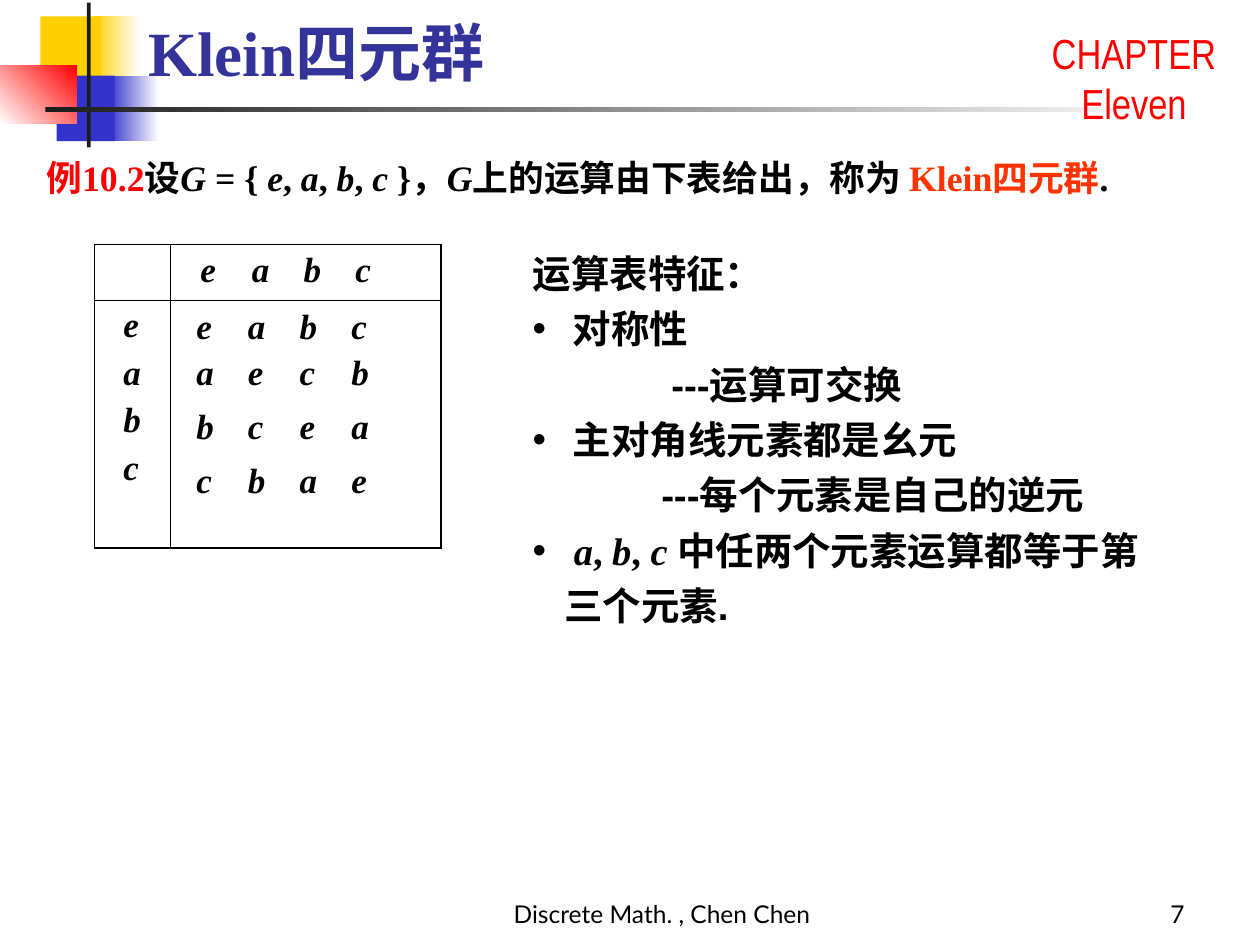
"""Build the slide on the Klein four-group and its operation table."""
from dataclasses import dataclass
from typing import Optional, Sequence

import pptx
import pptx.dml.color
import pptx.enum.shapes
import pptx.enum.text
import pptx.oxml.ns
import pptx.util
from lxml import etree

Inches = pptx.util.Inches
Pt = pptx.util.Pt
RGBColor = pptx.dml.color.RGBColor
Align = pptx.enum.text.PP_ALIGN
Anchor = pptx.enum.text.MSO_ANCHOR
qn = pptx.oxml.ns.qn

BLACK = RGBColor(0x00, 0x00, 0x00)
WHITE = RGBColor(0xFF, 0xFF, 0xFF)
CHARCOAL = RGBColor(0x1C, 0x1C, 0x1C)
YELLOW = RGBColor(0xFF, 0xCF, 0x01)
BLUE = RGBColor(0x33, 0x33, 0xCC)
NAVY = RGBColor(0x33, 0x33, 0x99)
RED = RGBColor(0xFF, 0x00, 0x00)
ORANGE = RGBColor(0xFF, 0x33, 0x00)

SERIF = "Times New Roman"
SANS = "Arial"
SYMBOL_GAP = 0.41
OUTER, INNER = 1.08, 0.45


@dataclass(frozen=True)
class Block:
    left: float
    top: float
    width: float
    height: float
    start: RGBColor
    end: Optional[RGBColor] = None
    angle: float = 0


@dataclass(frozen=True)
class Words:
    text: str
    size: float
    font: str = SERIF
    color: RGBColor = BLACK
    bold: bool = True
    italic: bool = False


@dataclass(frozen=True)
class Feature:
    words: Sequence[Words]
    indent: float = 0
    bullet: bool = False


DECORATION = (
    Block(0.74, 0.13, 0.36, 0.52, YELLOW, WHITE),
    Block(0.86, 0.6, 0.4, 0.52, BLUE, WHITE),
    Block(0.32, 0.13, 0.48, 0.52, YELLOW),
    Block(0.45, 0.6, 0.46, 0.52, BLUE),
    Block(0, 0.52, 0.61, 0.46, WHITE, RED, 45),
    Block(0.69, 0.02, 0.03, 1.15, CHARCOAL),
    Block(0.36, 0.85, 9, 0.04, CHARCOAL, WHITE),
)


def draw_block(slide, block: Block) -> None:
    shape = slide.shapes.add_shape(
        pptx.enum.shapes.MSO_SHAPE.RECTANGLE, Inches(block.left), Inches(block.top),
        Inches(block.width), Inches(block.height))
    shape.shadow.inherit = False
    shape.line.fill.background()
    if block.end is None:
        shape.fill.solid()
        shape.fill.fore_color.rgb = block.start
        return
    shape.fill.gradient()
    shape.fill.gradient_angle = block.angle
    for stop, color in zip(shape.fill.gradient_stops, (block.start, block.end)):
        stop.color.rgb = color


def write(paragraph, words: Sequence[Words]) -> None:
    for part in words:
        run = paragraph.add_run()
        run.text = part.text
        run.font.size = Pt(part.size)
        run.font.name = part.font
        run.font.color.rgb = part.color
        run.font.bold = part.bold
        run.font.italic = part.italic


def add_text(slide, left: float, top: float, width: float, height: float,
             words: Sequence[Words] = (), align=Align.LEFT, anchor=Anchor.TOP):
    frame = slide.shapes.add_textbox(
        Inches(left), Inches(top), Inches(width), Inches(height)).text_frame
    frame.word_wrap = True
    frame.vertical_anchor = anchor
    frame.paragraphs[0].alignment = align
    write(frame.paragraphs[0], words)
    return frame


def symbols(pattern: str, size: float, first_italic: bool = True) -> list[Words]:
    """Split on bars into words that alternate between italic and upright."""
    return [Words(text, size, italic=(index % 2 == 0) == first_italic)
            for index, text in enumerate(pattern.split("|"))]


def write_symbol_row(paragraph, letters: str) -> None:
    tabs = etree.SubElement(paragraph._p.get_or_add_pPr(), qn("a:tabLst"))
    for step in range(1, len(letters)):
        etree.SubElement(tabs, qn("a:tab"), pos=str(Inches(SYMBOL_GAP * step)), algn="l")
    write(paragraph, [Words("\t".join(letters), 20, italic=True)])


def set_borders(cell, row: int, column: int) -> None:
    properties = cell._tc.get_or_add_tcPr()
    widths = {"a:lnL": INNER if column else OUTER, "a:lnR": OUTER if column else INNER,
              "a:lnT": INNER if row else OUTER, "a:lnB": OUTER if row else INNER}
    for tag, width in widths.items():
        line = etree.SubElement(properties, qn(tag), w=str(Pt(width)))
        fill = etree.SubElement(line, qn("a:solidFill"))
        etree.SubElement(fill, qn("a:srgbClr"), val=str(BLACK))


def draw_operation_table(slide, elements: str, products: Sequence[str]) -> None:
    table = slide.shapes.add_table(
        2, 2, Inches(0.75), Inches(1.94), Inches(2.75), Inches(2.41)).table
    table.first_row = table.horz_banding = False
    for column, width in zip(table.columns, (0.6, 2.15)):
        column.width = Inches(width)
    for row, height in zip(table.rows, (0.44, 1.97)):
        row.height = Inches(height)
    for row in range(2):
        for column in range(2):
            cell = table.cell(row, column)
            set_borders(cell, row, column)
            cell.fill.background()
    header, side = table.cell(0, 1), table.cell(1, 0)
    header.margin_left, side.margin_left = Inches(0.24), Inches(0.23)
    write_symbol_row(header.text_frame.paragraphs[0], elements)
    for index, element in enumerate(elements):
        paragraph = side.text_frame.add_paragraph() if index else side.text_frame.paragraphs[0]
        if index:
            paragraph.space_before = Pt(5)
        write(paragraph, [Words(element, 20, italic=True)])
    for top, product in zip((2.37, 2.73, 3.16, 3.59), products):
        frame = add_text(slide, 1.46, top, 1.75, 0.44)
        write_symbol_row(frame.paragraphs[0], product)


def draw_features(slide, features: Sequence[Feature]) -> None:
    frame = add_text(slide, 4.13, 1.86, 5.04, 3.18)
    for index, feature in enumerate(features):
        paragraph = frame.add_paragraph() if index else frame.paragraphs[0]
        paragraph.line_spacing = 1.2
        properties = paragraph._p.get_or_add_pPr()
        properties.set("marL", str(Inches(feature.indent)))
        if feature.bullet:
            properties.set("indent", str(-Inches(feature.indent)))
            etree.SubElement(properties, qn("a:buFont"), typeface=SANS)
            etree.SubElement(properties, qn("a:buChar"), char="•")
        write(paragraph, feature.words)


def main() -> None:
    deck = pptx.Presentation()
    deck.slide_width, deck.slide_height = Inches(10), Inches(7.5)
    slide = deck.slides.add_slide(deck.slide_layouts[6])
    for block in DECORATION:
        draw_block(slide, block)
    add_text(slide, 8, 0.17, 2, 0.9,
             [Words("CHAPTER Eleven", 24, "Arial Narrow", RED, False)], Align.CENTER)
    add_text(slide, 3.67, 6.92, 3.17, 0.5,
             [Words("Discrete Math. , Chen Chen", 14, "Lato", bold=False)],
             Align.CENTER, Anchor.BOTTOM)
    add_text(slide, 7.42, 6.92, 2.08, 0.5, [Words("7", 14, "Lato", bold=False)],
             Align.RIGHT, Anchor.BOTTOM)
    add_text(slide, 1.08, 0.17, 4.15, 0.59,
             [Words("Klein", 36, color=NAVY), Words("四元群", 36, "Montserrat", NAVY)],
             anchor=Anchor.BOTTOM)
    definition = [
        Words("例10.2", 20.4, color=RED),
        *symbols("设|G |= { |e|, |a|, |b|, |c |}，|G|上的运算由下表给出，称为 ", 20.4, False),
        Words("Klein四元群", 20.4, color=ORANGE),
        Words(".", 20.4),
    ]
    add_text(slide, 0.27, 1.15, 9.45, 0.63, definition).paragraphs[0].line_spacing = 1.1
    draw_operation_table(slide, "eabc", ("eabc", "aecb", "bcea", "cbae"))
    draw_features(slide, (
        Feature([Words("运算表特征：", 22, SANS)]),
        Feature([Words(" 对称性", 22, SANS)], 0.25, True),
        Feature([Words("---运算可交换", 22, SANS)], 1.1),
        Feature([Words(" 主对角线元素都是幺元", 22, SANS)], 0.25, True),
        Feature([Words("---每个元素是自己的逆元", 22, SANS)], 1.02),
        Feature([*symbols(" a|, |b|, |c ", 22),
                 Words("中任两个元素运算都等于第三个元素.", 22, SANS)], 0.25, True),
    ))
    deck.save("out.pptx")


if __name__ == "__main__":
    main()
